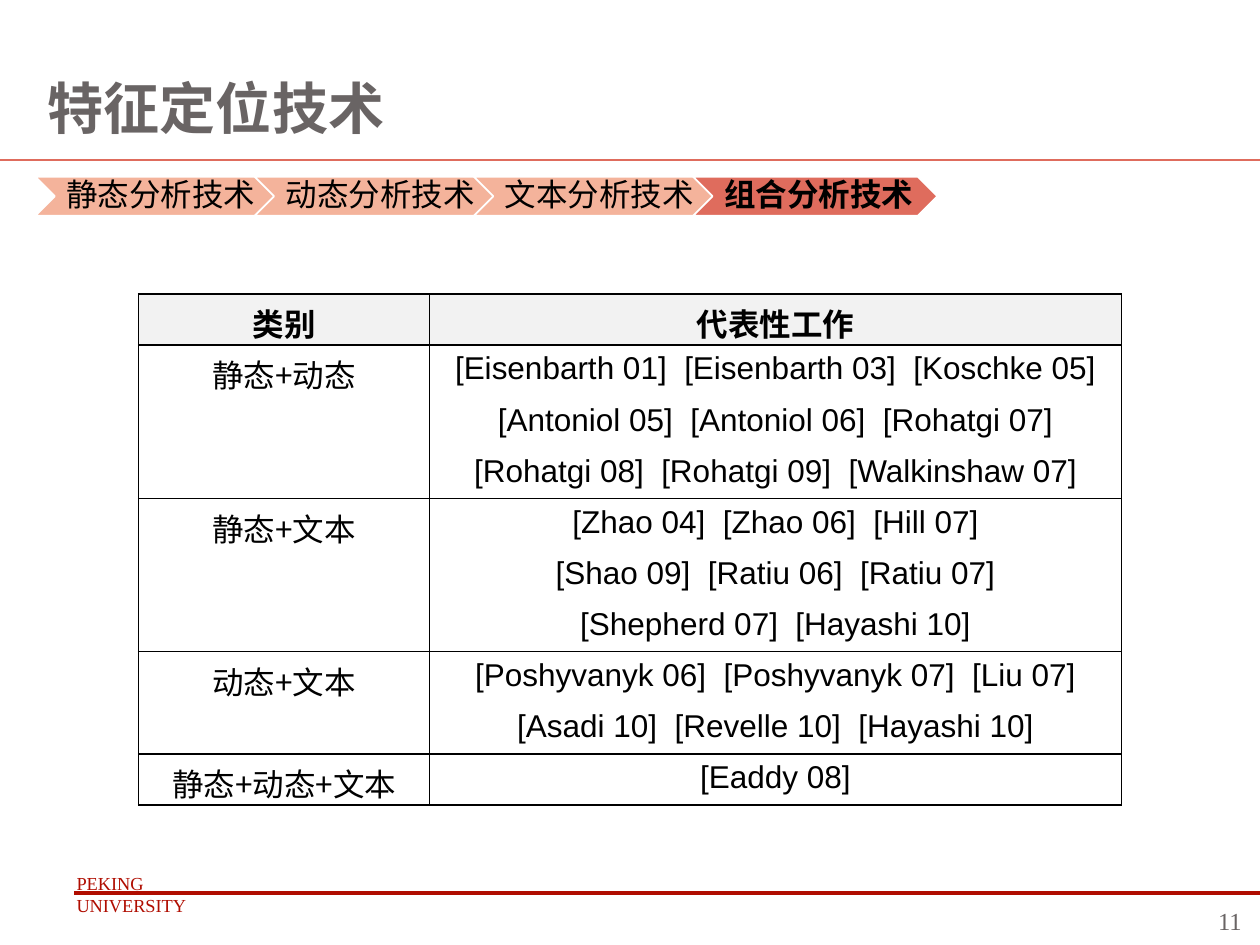
from dataclasses import dataclass

from lxml import etree
from pptx import Presentation
from pptx.dml.color import RGBColor
from pptx.enum.shapes import MSO_CONNECTOR, MSO_SHAPE
from pptx.enum.text import MSO_ANCHOR, PP_ALIGN
from pptx.oxml.ns import qn
from pptx.util import Pt

STRAIGHT = MSO_CONNECTOR.STRAIGHT
CHEVRON = MSO_SHAPE.CHEVRON
MIDDLE, BOTTOM = MSO_ANCHOR.MIDDLE, MSO_ANCHOR.BOTTOM
LEFT, CENTER = PP_ALIGN.LEFT, PP_ALIGN.CENTER


@dataclass(frozen=True)
class Theme:
    ink: str = "000000"
    gray: str = "696464"
    paper: str = "FFFFFF"
    coral: str = "DF6C5D"
    peach: str = "F4B39B"
    brick: str = "B00D00"
    head: str = "F2F2F2"
    sans: str = "Arial"
    serif: str = "Times New Roman"
    han: str = "Noto Sans CJK SC"
    title: float = 32
    body: float = 18
    page: float = 14
    brand: float = 10.5


THEME = Theme()
STEPS = ["静态分析技术", "动态分析技术", "文本分析技术", "组合分析技术"]
HEADS = ["类别", "代表性工作"]
GROUPS = [
    ("静态+动态", [
        "[Eisenbarth 01]  [Eisenbarth 03]  [Koschke 05]",
        "[Antoniol 05]  [Antoniol 06]  [Rohatgi 07]",
        "[Rohatgi 08]  [Rohatgi 09]  [Walkinshaw 07]",
    ]),
    ("静态+文本", [
        "[Zhao 04]  [Zhao 06]  [Hill 07]",
        "[Shao 09]  [Ratiu 06]  [Ratiu 07]",
        "[Shepherd 07]  [Hayashi 10]",
    ]),
    ("动态+文本", [
        "[Poshyvanyk 06]  [Poshyvanyk 07]  [Liu 07]",
        "[Asadi 10]  [Revelle 10]  [Hayashi 10]",
    ]),
    ("静态+动态+文本", ["[Eaddy 08]"]),
]


def paint(color):
    return RGBColor.from_string(color)


def write(frame, text, size, face, color, bold=False, align=LEFT):
    frame.text = text
    for para in frame.paragraphs:
        para.alignment = align
        for run in para.runs:
            font = run.font
            font.size, font.bold, font.name = Pt(size), bold, face
            font.color.rgb = paint(color)
            east = etree.SubElement(run._r.get_or_add_rPr(), qn("a:ea"))
            east.set("typeface", THEME.han)


def pad(frame, left, top, right, bottom):
    frame.margin_left, frame.margin_top = Pt(left), Pt(top)
    frame.margin_right, frame.margin_bottom = Pt(right), Pt(bottom)


def add_rule(slide, left, top, right, color, weight):
    rule = slide.shapes.add_connector(
        STRAIGHT, Pt(left), Pt(top), Pt(right), Pt(top))
    rule.line.color.rgb = paint(color)
    rule.line.width = Pt(weight)
    etree.SubElement(rule._element.spPr, qn("a:effectLst"))


def add_note(slide, box, text, size, color):
    note = slide.shapes.add_textbox(*map(Pt, box))
    note.text_frame.word_wrap = True
    write(note.text_frame, text, size, THEME.serif, color)


def add_title(slide, box, text):
    left, top, width, height = box
    title = slide.shapes.title
    title.left, title.top = Pt(left), Pt(top)
    title.width, title.height = Pt(width), Pt(height)
    frame = title.text_frame
    frame.vertical_anchor = BOTTOM
    pad(frame, 7.2, 3.6, 7.2, 7.2)
    write(frame, text, THEME.title, THEME.sans, THEME.gray, True)
    add_rule(slide, 0, top + height + 4, 720, THEME.coral, 1.5)


def add_steps(slide, box, steps, active):
    left, top, width, height = box
    lap = 14.4
    span = (width + lap * (len(steps) - 1)) / len(steps)
    for idx, step in enumerate(steps):
        now = idx == active
        shape = slide.shapes.add_shape(
            CHEVRON, Pt(left + idx * (span - lap)), Pt(top),
            Pt(span), Pt(height))
        shape.shadow.inherit = False
        shape.fill.solid()
        shape.fill.fore_color.rgb = paint(THEME.coral if now else THEME.peach)
        shape.line.color.rgb = paint(THEME.paper)
        shape.line.width = Pt(1)
        frame = shape.text_frame
        frame.word_wrap = False
        frame.vertical_anchor = MIDDLE
        pad(frame, 5.76, 2, 2, 2)
        write(frame, step, THEME.body, THEME.han, THEME.ink, now, CENTER)
        para = frame.paragraphs[0]
        para.line_spacing = 0.9
        para.space_after = Pt(6.3)


def set_edges(cell, drawn):
    props = cell._tc.get_or_add_tcPr()
    for side in "LRTB":
        edge = etree.SubElement(props, qn(f"a:ln{side}"), w=str(Pt(1)))
        if side in drawn:
            fill = etree.SubElement(edge, qn("a:solidFill"))
            etree.SubElement(fill, qn("a:srgbClr"), val=THEME.ink)
        else:
            etree.SubElement(edge, qn("a:noFill"))


def fill_cell(cell, text, face, edges="LRTB", head=False):
    write(cell.text_frame, text, THEME.body, face, THEME.ink, head, CENTER)
    set_edges(cell, edges)
    if head:
        cell.fill.solid()
        cell.fill.fore_color.rgb = paint(THEME.head)
    else:
        cell.fill.background()


def add_works(slide, box, heads, groups):
    left, top, width, height = box
    count = 1 + sum(len(works) for _, works in groups)
    table = slide.shapes.add_table(
        count, 2, Pt(left), Pt(top), Pt(width), Pt(height)).table
    table.first_row = table.horz_banding = False
    first = 166.3
    table.columns[0].width = Pt(first)
    table.columns[1].width = Pt(width - first)
    for row in table.rows:
        row.height = Pt(height / count)
    for col, head in enumerate(heads):
        fill_cell(table.cell(0, col), head, THEME.han, head=True)
    start = 1
    for label, works in groups:
        last = len(works) - 1
        for idx, work in enumerate(works):
            edges = "LR" + "T" * (idx == 0) + "B" * (idx == last)
            fill_cell(table.cell(start + idx, 0),
                      "" if idx else label, THEME.han, edges)
            fill_cell(table.cell(start + idx, 1), work, THEME.sans, edges)
        if last:
            table.cell(start, 0).merge(table.cell(start + last, 0))
        start += len(works)


def add_foot(slide, box, brand, page):
    left, top, width, height = box
    add_note(slide, (left, top, 132.5, 34), brand, THEME.brand, THEME.brick)
    add_rule(slide, left + 5.8, top + 15.8, left + width, THEME.brick, 2.25)
    add_note(slide, (left + width - 31, top + height - 26, 31, 26),
             page, THEME.page, THEME.gray)


def main():
    deck = Presentation()
    deck.slide_width, deck.slide_height = Pt(720), Pt(540)
    slide = deck.slides.add_slide(deck.slide_layouts[5])
    add_foot(slide, (36.7, 494.7, 683.3, 45.3), "PEKING\nUNIVERSITY", "11")
    add_title(slide, (20.2, 9.4, 680.4, 78), "特征定位技术")
    add_steps(slide, (20.2, 101, 515.5, 22.3), STEPS, 3)
    add_works(slide, (79.2, 168, 561.6, 292), HEADS, GROUPS)
    deck.save("out.pptx")


if __name__ == "__main__":
    main()
